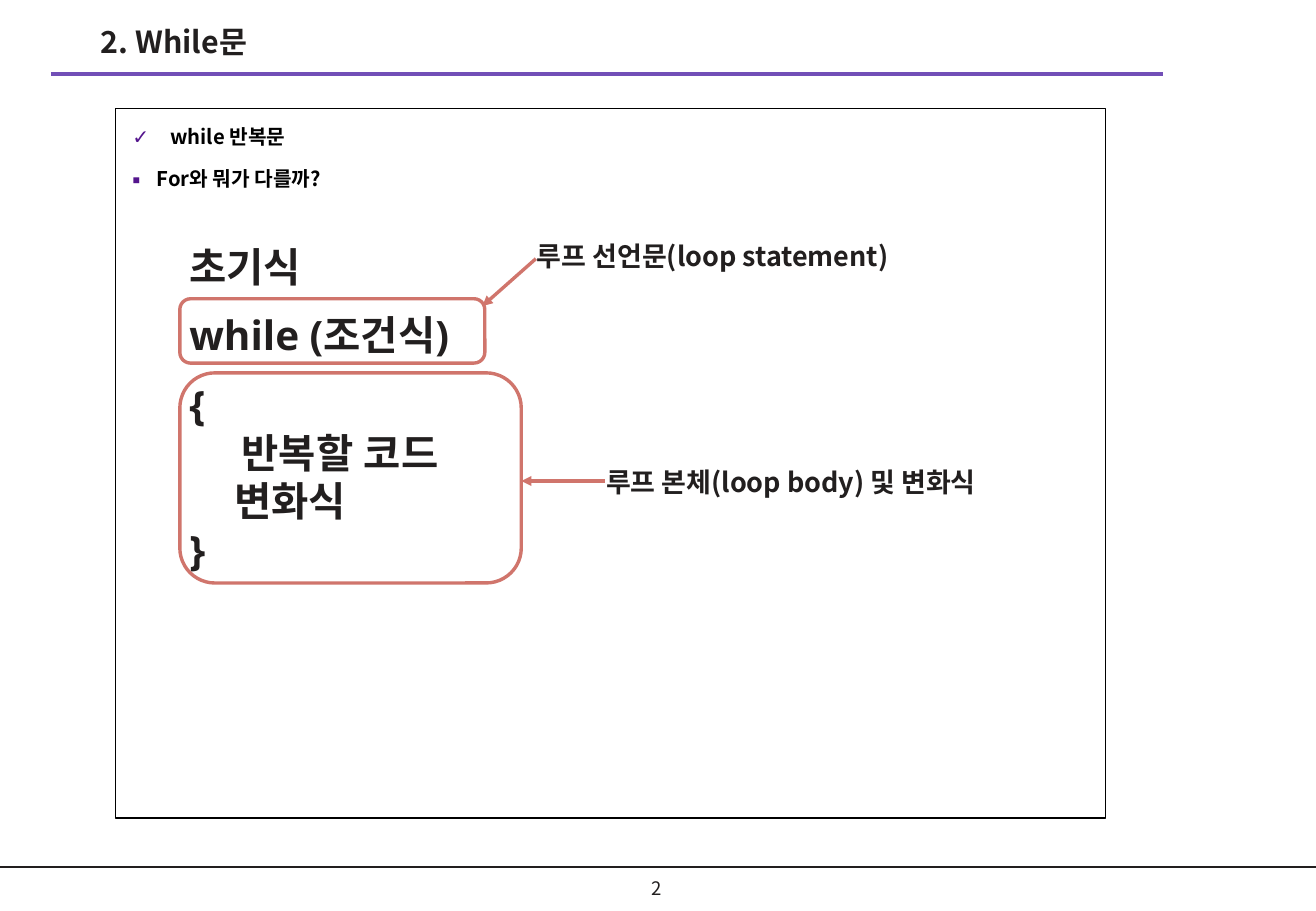
import pptx
import pptx.util
import pptx.dml.color
import pptx.enum.shapes
import pptx.enum.text
import pptx.oxml
import pptx.oxml.ns

WIDE, HIGH = 10.83, 7.5
CELL = 0.1  # grid pitch in inches
HEX = {"ink": "221F1F", "black": "000000", "bar": "724FB7",
       "mark": "54158D", "loop": "D0756C"}
SANS, CODE = "Noto Sans CJK KR", "Open Sans"
Pt = pptx.util.Pt
KIND = pptx.enum.shapes.MSO_SHAPE
ALIGN = pptx.enum.text.PP_ALIGN
ANCHOR = pptx.enum.text.MSO_ANCHOR


def grid(*cells):
    """Turn grid columns and rows into lengths."""
    return [pptx.util.Inches(n * CELL) for n in cells]


def tint(name):
    """Give the colour with this name."""
    return pptx.dml.color.RGBColor.from_string(HEX[name])


def apply(item, values):
    """Set each format value on the item."""
    for name, value in values.items():
        setattr(item, name, value)


def child(node, tag, **attrs):
    """Append a drawing element to the node."""
    names = "".join(f' {key}="{val}"' for key, val in attrs.items())
    space = pptx.oxml.ns.nsdecls("a")
    part = pptx.oxml.parse_xml(f"<a:{tag} {space}{names}/>")
    node.append(part)
    return part


def write(para, text, size, font=SANS, color="ink", bold=True, **layout):
    """Put one styled run into a paragraph."""
    apply(para, layout)
    run = para.add_run()
    run.text = text
    apply(run.font, {"size": Pt(size), "name": font, "bold": bold})
    run.font.color.rgb = tint(color)
    child(run._r.get_or_add_rPr(), "ea", typeface=font)


def indent(para, left, hang=0):
    """Set the left margin and hanging indent in grid columns."""
    edge, back = grid(left, hang)
    props = para._p.get_or_add_pPr()
    props.set("marL", str(edge))
    props.set("indent", str(-back))
    return props


def label(slide, area, text, size, wrap=True, anchor=ANCHOR.TOP, **style):
    """Add a text box with a single line."""
    frame = slide.shapes.add_textbox(*grid(*area)).text_frame
    apply(frame, {"word_wrap": wrap, "vertical_anchor": anchor})
    write(frame.paragraphs[0], text, size, **style)


def box(slide, kind, area, color, width):
    """Add an outlined shape without fill."""
    shape = slide.shapes.add_shape(kind, *grid(*area))
    shape.shadow.inherit = False
    shape.fill.background()
    shape.line.color.rgb = tint(color)
    shape.line.width = Pt(width)
    return shape


def line(slide, ends, color, width, arrow=False):
    """Add a straight line, with an arrowhead if asked."""
    kind = pptx.enum.shapes.MSO_CONNECTOR.STRAIGHT
    link = slide.shapes.add_connector(kind, *grid(*ends))
    link.line.color.rgb = tint(color)
    link.line.width = Pt(width)
    if arrow:
        child(link.line._get_or_add_ln(), "tailEnd", type="triangle")
    child(link._element.spPr, "effectLst")


def panel(slide, area, items):
    """Add the framed panel with its bullet list."""
    frame = box(slide, KIND.RECTANGLE, area, "black", 0.75).text_frame
    side, edge = grid(1.4, 0.7)
    apply(frame, {"margin_left": side, "margin_right": side,
                  "margin_top": edge, "margin_bottom": edge,
                  "word_wrap": True, "vertical_anchor": ANCHOR.TOP})
    for row, (mark, hang, text) in enumerate(items):
        para = frame.add_paragraph() if row else frame.paragraphs[0]
        write(para, text, 12, color="black", alignment=ALIGN.LEFT,
              line_spacing=1.3, space_before=Pt(6))
        props = indent(para, hang, hang)
        child(child(props, "buClr"), "srgbClr", val=HEX["mark"])
        child(props, "buFont", typeface=CODE)
        child(props, "buChar", char=mark)


def code(slide, area, rows):
    """Add the code block, one paragraph a row."""
    frame = slide.shapes.add_textbox(*grid(*area)).text_frame
    frame.word_wrap = True
    for row, (text, left, gap) in enumerate(rows):
        para = frame.add_paragraph() if row else frame.paragraphs[0]
        write(para, text, 24, font=CODE, line_spacing=Pt(28.5),
              space_before=Pt(gap))
        indent(para, left)


def main():
    """Build the slide and save it."""
    deck = pptx.Presentation()
    apply(deck, {"slide_width": pptx.util.Inches(WIDE),
                 "slide_height": pptx.util.Inches(HIGH)})
    slide = deck.slides.add_slide(deck.slide_layouts[6])
    line(slide, (0, 71.4, WIDE / CELL, 71.4), "ink", 1)
    line(slide, (4.2, 6.1, 95.7, 6.1), "bar", 2.25)
    label(slide, (51, 71.5, 6.1, 3.3), "2", 11, bold=False,
          anchor=ANCHOR.MIDDLE, alignment=ALIGN.CENTER)
    label(slide, (7.3, 1.4, 55.5, 4.8), "2. While문", 18)
    panel(slide, (9.5, 8.95, 81.5, 58.4),
          [("✓", 3.1, "while 반복문"), ("▪", 2, "For와 뭐가 다를까?")])
    code(slide, (14.6, 19.5, 50, 28.5),
         [("초기식", 0, 0), ("while (조건식)", 0, 11.5), ("{", 0, 13),
          ("반복할 코드", 4.3, 0), ("변화식", 3.7, 0), ("}", 0, 0.5)])
    loops = [
        ((14.8, 24.6, 25.1, 5.3), (44.1, 21.3, 39.7, 25.2),
         (43.2, 19.2, 32.4, 4), "루프 선언문(loop statement)"),
        ((14.8, 30.7, 28.1, 17.3), (49.8, 39.6, 42.9, 39.6),
         (48.9, 37.8, 34.4, 4), "루프 본체(loop body) 및 변화식")]
    for area, ends, place, text in loops:
        box(slide, KIND.ROUNDED_RECTANGLE, area, "loop", 2)
        line(slide, ends, "loop", 2, arrow=True)
        label(slide, place, text, 16, wrap=False)
    deck.save("out.pptx")


main()
